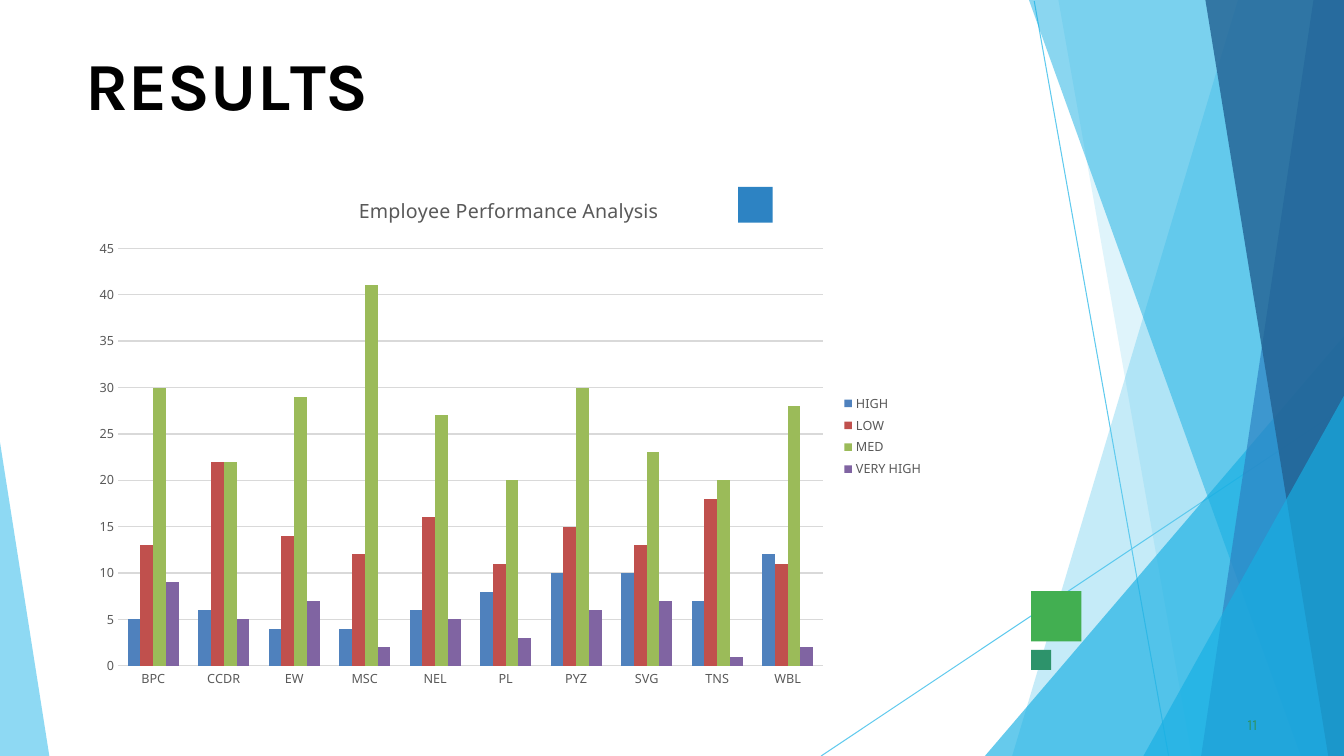
from lxml import etree
from pptx import Presentation, util as u
from pptx.chart.data import CategoryChartData
from pptx.dml.color import RGBColor
from pptx.enum import chart as ch, shapes, text
from pptx.oxml import parse_xml
from pptx.oxml.ns import nsdecls, qn

PX = 9525  # EMU in one px, 96 px to the inch
WIDTH, HEIGHT = 1280, 720

RAYS = [((985, 1), (1113, 720)), ((1280, 388), (782, 720))]
# Corner points, colour, opacity in percent
FACETS = [
    ([(1280, 0), (1179, 0), (964, 720), (1280, 720)], "5FCAEE", 36),
    ([(1280, 0), (1008, 0), (1135, 720), (1280, 720)], "5FCAEE", 20),
    ([(1280, 320), (938, 720), (1280, 720)], "17AFE3", 66),
    ([(1280, 0), (980, 0), (1239, 720), (1280, 720)], "17AFE3", 50),
    ([(1280, 0), (1251, 0), (1144, 720), (1280, 720)], "2D83C3", 70),
    ([(1280, 0), (1148, 0), (1265, 720), (1280, 720)], "226192", 80),
    ([(1280, 377), (1089, 720), (1280, 720)], "17AFE3", 66),
    ([(0, 421), (0, 720), (47, 720)], "5FCAEE", 70),
]
SQUARES = [((982, 563, 48, 48), "42AF51"),
           ((703, 178, 33, 34), "2D83C3"),
           ((982, 619, 19, 19), "2D936B")]
# Letters of the title with their spacing in points
TITLE = [("R", 0), ("E", -0.4), ("S", 0.1), ("U", -0.3), ("L", -4), ("TS", 0)]
TEAMS = ["BPC", "CCDR", "EW", "MSC", "NEL", "PL", "PYZ", "SVG", "TNS", "WBL"]
RATINGS = [
    ("HIGH", [5, 6, 4, 4, 6, 8, 10, 10, 7, 12], "4F81BD"),
    ("LOW", [13, 22, 14, 12, 16, 11, 15, 13, 18, 11], "C0504D"),
    ("MED", [30, 22, 29, 41, 27, 20, 30, 23, 20, 28], "9BBB59"),
    ("VERY HIGH", [9, 5, 7, 2, 5, 3, 6, 7, 1, 2], "8064A2"),
]


def px(*lengths):
    return [u.Emu(length * PX) for length in lengths]


def rgb(code):
    return RGBColor.from_string(code)


def style_font(font, name, size, colour, bold=False):
    font.name, font.size, font.bold = name, u.Pt(size), bold
    font.color.rgb = rgb(colour)


def paint(shape, colour, opacity=100):
    shape.shadow.inherit = False
    shape.fill.solid()
    shape.fill.fore_color.rgb = rgb(colour)
    shape.line.fill.background()
    if opacity < 100:
        tint = shape.fill._xPr.find(qn("a:solidFill"))[0]
        etree.SubElement(tint, qn("a:alpha"), val=str(opacity * 1000))


def add_backdrop(slide):
    for start, end in RAYS:
        ray = slide.shapes.add_connector(
            shapes.MSO_CONNECTOR.STRAIGHT, *px(*start, *end))
        ray.line.color.rgb = rgb("5FCAEE")
        ray.line.width = u.Pt(0.75)
        etree.SubElement(ray._element.spPr, qn("a:effectLst"))
    for corners, colour, opacity in FACETS:
        outline = slide.shapes.build_freeform(*corners[0], scale=PX)
        outline.add_line_segments(corners[1:], close=True)
        paint(outline.convert_to_shape(), colour, opacity)


def add_squares(slide):
    for box, colour in SQUARES:
        square = slide.shapes.add_shape(shapes.MSO_SHAPE.RECTANGLE, *px(*box))
        paint(square, colour)


def set_frame(shape, indent, space_before):
    frame = shape.text_frame
    frame.margin_left, frame.margin_top = px(indent, 1)
    frame.margin_right = frame.margin_bottom = 0
    frame.word_wrap = True
    frame.vertical_anchor = text.MSO_ANCHOR.TOP
    frame.auto_size = text.MSO_AUTO_SIZE.SHAPE_TO_FIT_TEXT
    line = frame.paragraphs[0]
    line.alignment = text.PP_ALIGN.LEFT
    line.space_before = u.Pt(space_before)
    return line


def add_title(slide, box):
    title = slide.shapes.title
    title.left, title.top, title.width, title.height = px(*box)
    line = set_frame(title, 1, 1)
    style_font(line.font, "Karla", 48, "000000", bold=True)
    for letters, spacing in TITLE:
        run = line.add_run()
        run.text = letters
        run.font._element.set("spc", str(round(spacing * 100)))


def add_page_number(slide, box):
    line = set_frame(slide.shapes.add_textbox(*px(*box)), 4, 0.6)
    line.text = "11"
    style_font(line.font, "Karla", 11, "2D936B")


def style_axis(axis):
    style_font(axis.tick_labels.font, "Noto Sans", 9, "595959")
    axis.major_tick_mark = axis.minor_tick_mark = ch.XL_TICK_MARK.NONE
    axis.format.line.fill.background()


def place_plot(chart, x, y, w, h):
    """Fix the inner plot area, in fractions of the chart."""
    plot_area = chart._chartSpace.chart.plotArea
    for layout in plot_area.findall(qn("c:layout")):
        plot_area.remove(layout)
    plot_area.insert(0, parse_xml(
        f'<c:layout {nsdecls("c")}><c:manualLayout>'
        '<c:layoutTarget val="inner"/><c:xMode val="edge"/><c:yMode val="edge"/>'
        f'<c:x val="{x}"/><c:y val="{y}"/><c:w val="{w}"/><c:h val="{h}"/>'
        '</c:manualLayout></c:layout>'))


def add_performance_chart(slide, box):
    data = CategoryChartData()
    data.categories = TEAMS
    for rating, counts, _ in RATINGS:
        data.add_series(rating, counts)
    chart = slide.shapes.add_chart(
        ch.XL_CHART_TYPE.COLUMN_CLUSTERED, *px(*box), data).chart
    style_font(chart.font, "Noto Sans", 10, "000000")

    # Heading and legend
    chart.has_title = True
    heading = chart.chart_title.text_frame
    heading.text = "Employee Performance Analysis"
    style_font(heading.paragraphs[0].font, "Noto Sans", 14, "595959")
    chart.chart_title.include_in_layout = False
    chart.has_legend = True
    chart.legend.position = ch.XL_LEGEND_POSITION.RIGHT
    chart.legend.include_in_layout = False
    style_font(chart.legend.font, "Noto Sans", 9, "595959")

    # Axes
    style_axis(chart.category_axis)
    counts_axis = chart.value_axis
    style_axis(counts_axis)
    counts_axis.minimum_scale, counts_axis.maximum_scale = 0, 45
    counts_axis.major_unit = 5
    grid = counts_axis.major_gridlines.format.line
    grid.color.rgb, grid.width = rgb("D9D9D9"), u.Pt(1)

    # Columns
    plot = chart.plots[0]
    plot.gap_width, plot.overlap, plot.vary_by_categories = 150, 0, False
    for columns, (_, _, colour) in zip(plot.series, RATINGS):
        columns.format.fill.solid()
        columns.format.fill.fore_color.rgb = rgb(colour)
    place_plot(chart, 0.04, 0.14, 0.83, 0.8)

    # Clear background, so the blue square shows through
    chart._chartSpace.chart.addnext(parse_xml(
        f'<c:spPr {nsdecls("c", "a")}><a:noFill/>'
        '<a:ln><a:noFill/></a:ln></c:spPr>'))


def main():
    deck = Presentation()
    deck.slide_width, deck.slide_height = px(WIDTH, HEIGHT)
    slide = deck.slides.add_slide(deck.slide_layouts.get_by_name("Title Only"))
    add_backdrop(slide)
    add_squares(slide)
    add_title(slide, (80, 40, 1121, 78))
    add_page_number(slide, (1184, 680, 24, 17))
    add_performance_chart(slide, (80, 167, 809, 497))
    deck.save("out.pptx")


if __name__ == "__main__":
    main()
